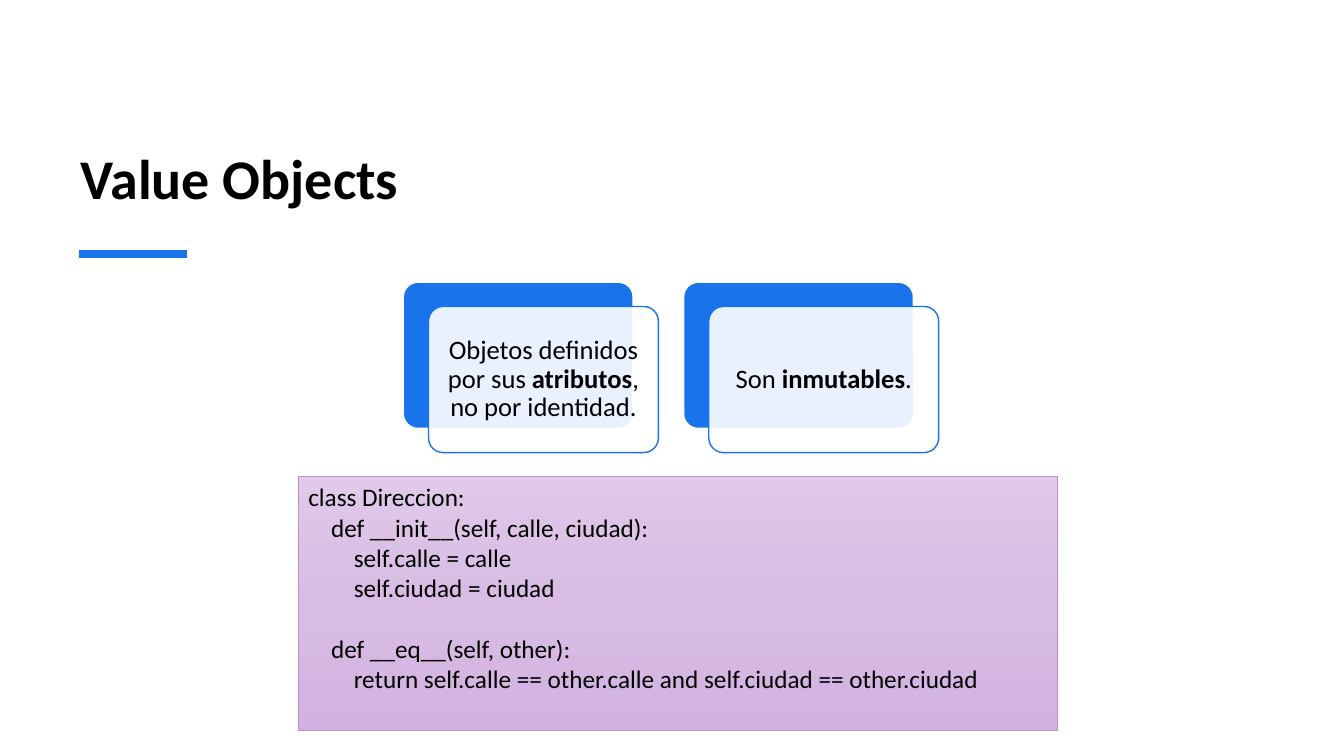
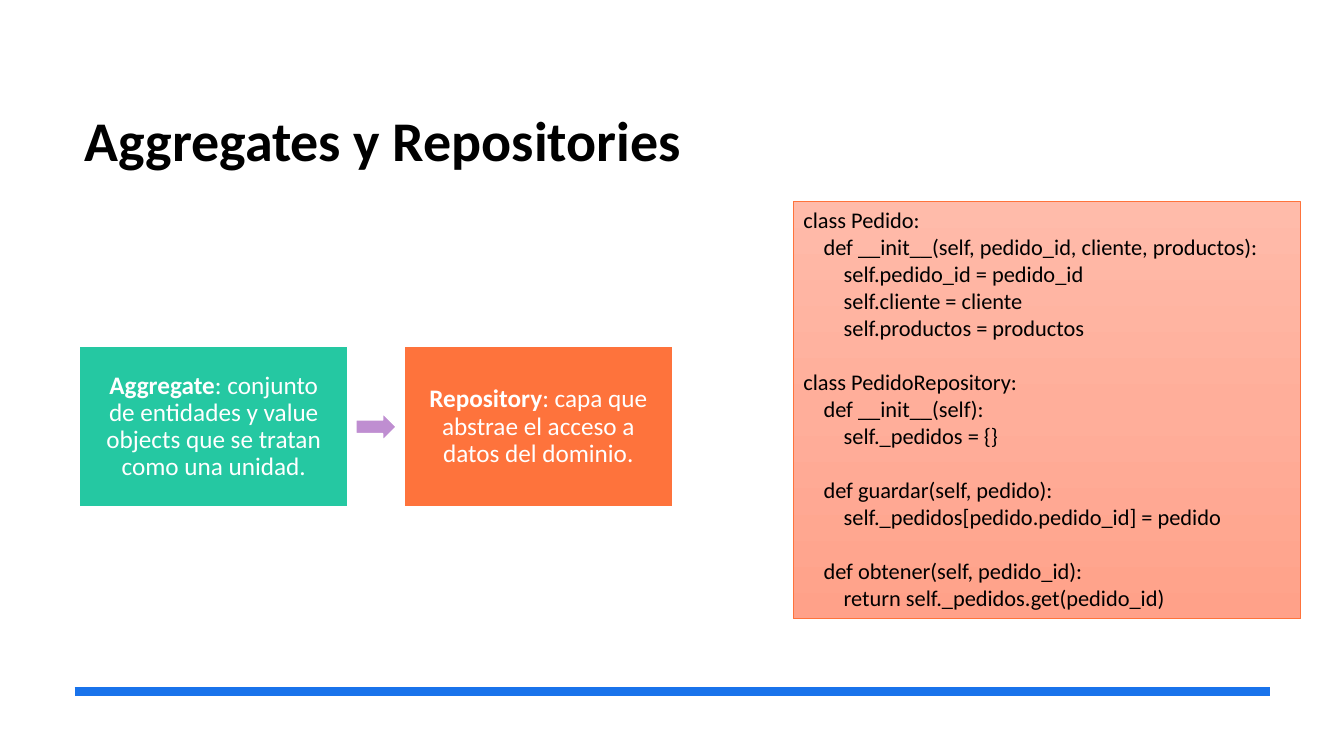
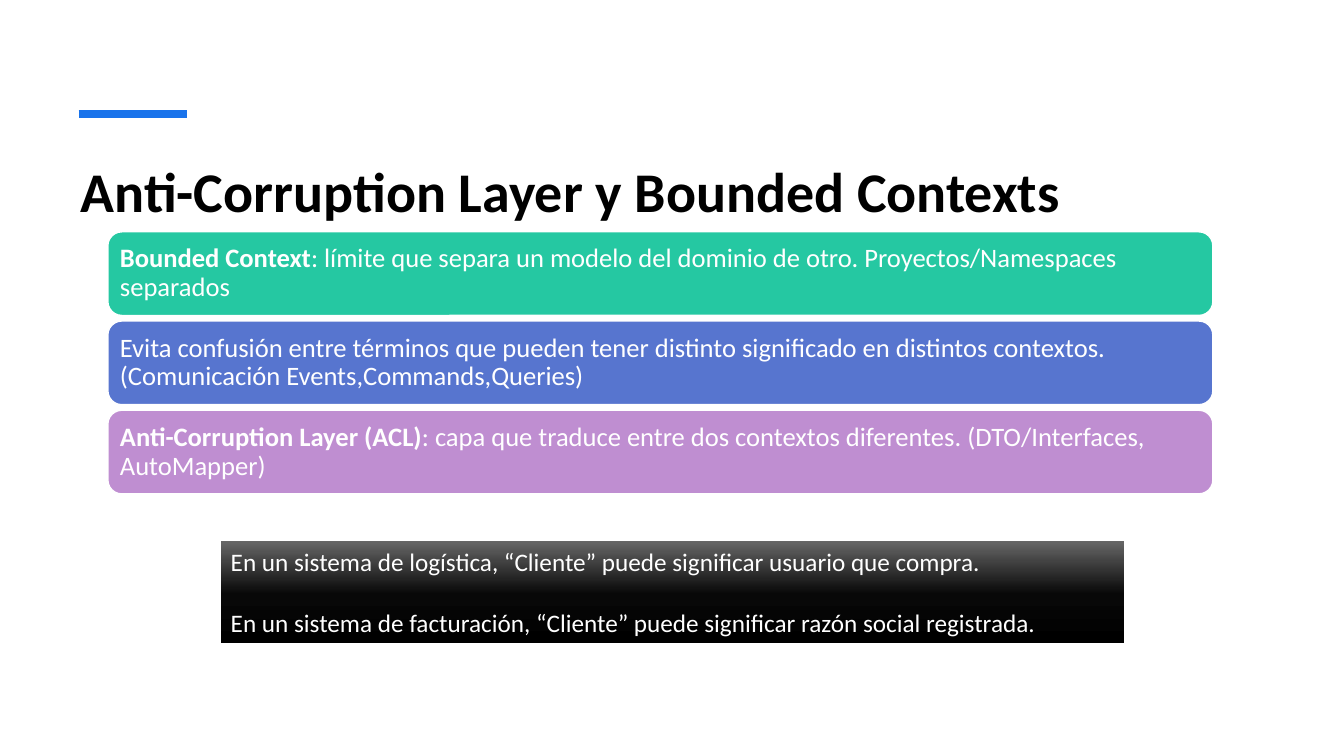
from copy import deepcopy
from dataclasses import dataclass
from typing import NamedTuple

from lxml import etree
from pptx import Presentation
from pptx.dml.color import RGBColor
from pptx.enum.shapes import MSO_CONNECTOR, MSO_SHAPE
from pptx.enum.text import MSO_ANCHOR, MSO_AUTO_SIZE, PP_ALIGN
from pptx.oxml.ns import qn
from pptx.util import Inches, Pt

RECTANGLE = MSO_SHAPE.RECTANGLE
ROUNDED = MSO_SHAPE.ROUNDED_RECTANGLE
RIGHT_ARROW = MSO_SHAPE.RIGHT_ARROW
STRAIGHT = MSO_CONNECTOR.STRAIGHT
TOP, MIDDLE, BOTTOM = MSO_ANCHOR.TOP, MSO_ANCHOR.MIDDLE, MSO_ANCHOR.BOTTOM
LEFT, CENTER = PP_ALIGN.LEFT, PP_ALIGN.CENTER
NO_AUTOFIT = MSO_AUTO_SIZE.NONE

FONT = "Calibri"
BLACK, WHITE = "000000", "FFFFFF"
BLUE, GREEN, ORANGE = "1973EB", "25C8A2", "FE733C"
INDIGO, LILAC = "5775CF", "BF8ED1"
LINE_HEIGHT = 1.22
SHORT_RULE = (0.78, 1.85)


class Box(NamedTuple):
    left: float
    top: float
    width: float
    height: float


class TextRun(NamedTuple):
    text: str
    bold: bool = False


class Stop(NamedTuple):
    position: float
    color: str


@dataclass
class Card:
    runs: list[TextRun]
    fill: str = WHITE
    line: str = WHITE
    color: str = WHITE
    size: int = 19
    inset: float = 0.08
    alignment: PP_ALIGN = CENTER
    opacity: int = 100


@dataclass
class Panel:
    box: Box
    text: str
    stops: list[Stop]
    size: int
    line: str | None = None
    color: str = BLACK


def rgb(color: str) -> RGBColor:
    return RGBColor.from_string(color)


def add_run(paragraph, run: TextRun, size: int, color: str) -> None:
    text_run = paragraph.add_run()
    text_run.text = run.text
    font = text_run.font
    font.name, font.size, font.bold = FONT, Pt(size), run.bold
    font.color.rgb = rgb(color)


def add_titled_slide(presentation, title: str, box: Box, anchor: MSO_ANCHOR):
    slide = presentation.slides.add_slide(presentation.slide_layouts[5])
    shape = slide.shapes.title
    shape.left, shape.top, shape.width, shape.height = map(Inches, box)
    frame = shape.text_frame
    frame.auto_size, frame.vertical_anchor = NO_AUTOFIT, anchor
    paragraph = frame.paragraphs[0]
    paragraph.alignment = LEFT
    add_run(paragraph, TextRun(title, True), 40, BLACK)
    return slide


def add_rule(slide, ends: tuple[float, float], top: float) -> None:
    start, end = ends
    rule = slide.shapes.add_connector(
        STRAIGHT, Inches(start), Inches(top), Inches(end), Inches(top)
    )
    rule.line.color.rgb = rgb(BLUE)
    rule.line.width = Pt(6)
    etree.SubElement(rule._element.spPr, qn("a:effectLst"))


def add_shape(slide, kind: MSO_SHAPE, box: Box, fill: str, line: str):
    shape = slide.shapes.add_shape(kind, *map(Inches, box))
    shape.shadow.inherit = False
    shape.fill.solid()
    shape.fill.fore_color.rgb = rgb(fill)
    shape.line.color.rgb = rgb(line)
    shape.line.width = Pt(1)
    return shape


def add_card(slide, kind: MSO_SHAPE, box: Box, card: Card):
    shape = add_shape(slide, kind, box, card.fill, card.line)
    if card.opacity < 100:
        color = shape._element.spPr.find(qn("a:solidFill"))[0]
        etree.SubElement(color, qn("a:alpha"), val=str(card.opacity * 1000))
    frame = shape.text_frame
    frame.word_wrap, frame.vertical_anchor = True, MIDDLE
    frame.margin_left = frame.margin_right = Inches(card.inset)
    frame.margin_top = frame.margin_bottom = Inches(card.inset)
    paragraph = frame.paragraphs[0]
    paragraph.alignment, paragraph.line_spacing = card.alignment, 0.9
    for run in card.runs:
        add_run(paragraph, run, card.size, card.color)
    return shape


def fill_downwards(shape, stops: list[Stop]) -> None:
    shape.fill.gradient()
    shape.fill.gradient_angle = 270
    stop_list = shape._element.spPr.find(qn("a:gradFill")).find(qn("a:gsLst"))
    while len(stop_list) < len(stops):
        stop_list.append(deepcopy(stop_list[0]))
    for gradient_stop, stop in zip(shape.fill.gradient_stops, stops):
        gradient_stop.position = stop.position
        gradient_stop.color.rgb = rgb(stop.color)


def add_panel(slide, panel: Panel) -> None:
    shape = slide.shapes.add_shape(RECTANGLE, *map(Inches, panel.box))
    shape.shadow.inherit = False
    fill_downwards(shape, panel.stops)
    if panel.line:
        shape.line.color.rgb = rgb(panel.line)
        shape.line.width = Pt(0.5)
    else:
        shape.line.fill.background()
    frame = shape.text_frame
    frame.word_wrap, frame.vertical_anchor = True, TOP
    paragraph = frame.paragraphs[0]
    for block_index, block in enumerate(panel.text.split("\n\n")):
        for line_index, line in enumerate(block.split("\n")):
            if block_index or line_index:
                paragraph = frame.add_paragraph()
            if block_index and not line_index:
                paragraph.space_before = Pt(round(panel.size * LINE_HEIGHT, 1))
            paragraph.alignment = LEFT
            add_run(paragraph, TextRun(line), panel.size, panel.color)


def build_value_objects(presentation) -> None:
    slide = add_titled_slide(
        presentation, "Value Objects", Box(0.7, 0.62, 11.91, 1.52), BOTTOM
    )
    add_rule(slide, SHORT_RULE, 2.52)
    traits = [
        [
            TextRun("Objetos definidos por sus "),
            TextRun("atributos", True),
            TextRun(", no por identidad."),
        ],
        [TextRun("Son "), TextRun("inmutables", True), TextRun(".")],
    ]
    for index, runs in enumerate(traits):
        left = 4 + index * 2.78
        backing = add_shape(slide, ROUNDED, Box(left, 2.8, 2.28, 1.45), BLUE, WHITE)
        front = add_card(
            slide,
            ROUNDED,
            Box(left + 0.25, 3.04, 2.28, 1.45),
            Card(runs, line=BLUE, color=BLACK, opacity=90),
        )
        backing.adjustments[0] = front.adjustments[0] = 0.1
    code = """class Direccion:
    def __init__(self, calle, ciudad):
        self.calle = calle
        self.ciudad = ciudad

    def __eq__(self, other):
        return self.calle == other.calle and self.ciudad == other.ciudad"""
    stops = [Stop(0, "E0C9E9"), Stop(0.5, "D8BCE3"), Stop(1, "D3B2E1")]
    add_panel(slide, Panel(Box(2.96, 4.73, 7.53, 2.52), code, stops, 18, LILAC))


def build_aggregates(presentation) -> None:
    slide = add_titled_slide(
        presentation, "Aggregates y Repositories", Box(0.74, 1, 8.3, 1.06), TOP
    )
    add_rule(slide, (0.74, 12.6), 6.86)
    concepts = [
        (
            "Aggregate",
            ": conjunto de entidades y value objects que se tratan como una unidad.",
            GREEN,
        ),
        ("Repository", ": capa que abstrae el acceso a datos del dominio.", ORANGE),
    ]
    for index, (name, meaning, fill) in enumerate(concepts):
        runs = [TextRun(name, True), TextRun(meaning)]
        box = Box(0.79 + index * 3.22, 3.44, 2.66, 1.59)
        add_card(slide, RECTANGLE, box, Card(runs, fill, size=18, inset=0.17))
    add_shape(slide, RIGHT_ARROW, Box(3.53, 4.1, 0.4, 0.27), LILAC, WHITE)
    code = """class Pedido:
    def __init__(self, pedido_id, cliente, productos):
        self.pedido_id = pedido_id
        self.cliente = cliente
        self.productos = productos

class PedidoRepository:
    def __init__(self):
        self._pedidos = {}

    def guardar(self, pedido):
        self._pedidos[pedido.pedido_id] = pedido

    def obtener(self, pedido_id):
        return self._pedidos.get(pedido_id)"""
    stops = [Stop(0, "FFBBAA"), Stop(0.5, "FFAE9A"), Stop(1, "FFA189")]
    add_panel(slide, Panel(Box(7.87, 2, 5.03, 4.14), code, stops, 16, ORANGE))


def build_contexts(presentation) -> None:
    slide = add_titled_slide(
        presentation,
        "Anti-Corruption Layer y Bounded Contexts",
        Box(0.7, 1.5, 11.91, 1.2),
        TOP,
    )
    add_rule(slide, SHORT_RULE, 1.13)
    cards = [
        Card(
            [
                TextRun("Bounded Context", True),
                TextRun(
                    ": límite que separa un modelo del dominio de otro. "
                    "Proyectos/Namespaces separados"
                ),
            ],
            GREEN,
            alignment=LEFT,
        ),
        Card(
            [
                TextRun(
                    "Evita confusión entre términos que pueden tener distinto "
                    "significado en distintos contextos. "
                    "(Comunicación Events,Commands,Queries)"
                )
            ],
            INDIGO,
            alignment=LEFT,
        ),
        Card(
            [
                TextRun("Anti-Corruption Layer (ACL)", True),
                TextRun(
                    ": capa que traduce entre dos contextos diferentes. "
                    "(DTO/Interfaces, AutoMapper)"
                ),
            ],
            LILAC,
            alignment=LEFT,
        ),
    ]
    for index, card in enumerate(cards):
        add_card(slide, ROUNDED, Box(1.07, 2.3 + index * 0.885, 10.96, 0.83), card)
    example = (
        "En un sistema de logística, “Cliente” puede significar usuario que compra.\n\n"
        "En un sistema de facturación, “Cliente” puede significar "
        "razón social registrada."
    )
    stops = [Stop(0, "666666"), Stop(0.52, "080808"), Stop(1, BLACK)]
    add_panel(
        slide, Panel(Box(2.19, 5.37, 8.96, 1.01), example, stops, 18, color=WHITE)
    )


def main() -> None:
    presentation = Presentation()
    presentation.slide_width = Inches(13.33)
    presentation.slide_height = Inches(7.5)
    build_value_objects(presentation)
    build_aggregates(presentation)
    build_contexts(presentation)
    presentation.save("out.pptx")


if __name__ == "__main__":
    main()
